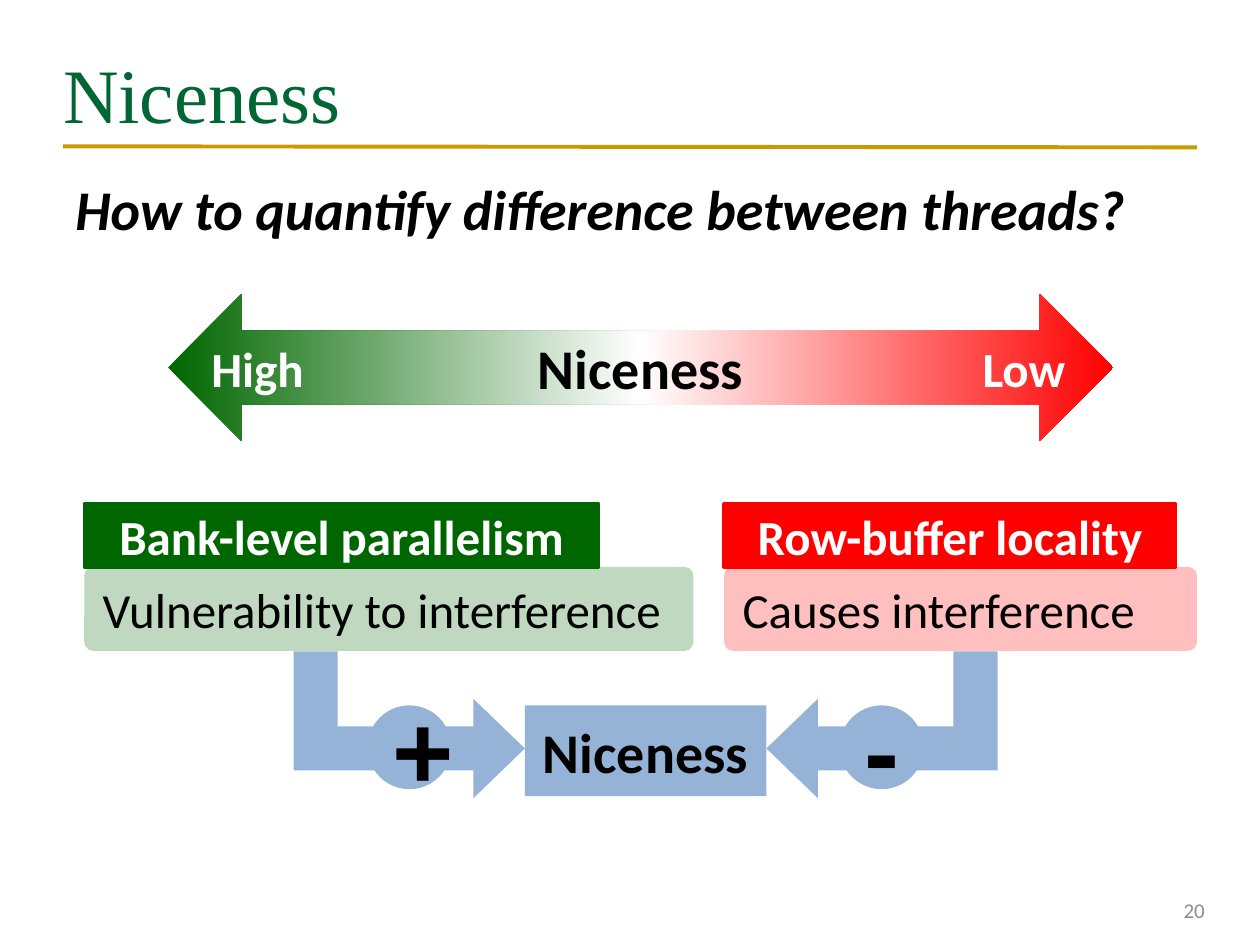
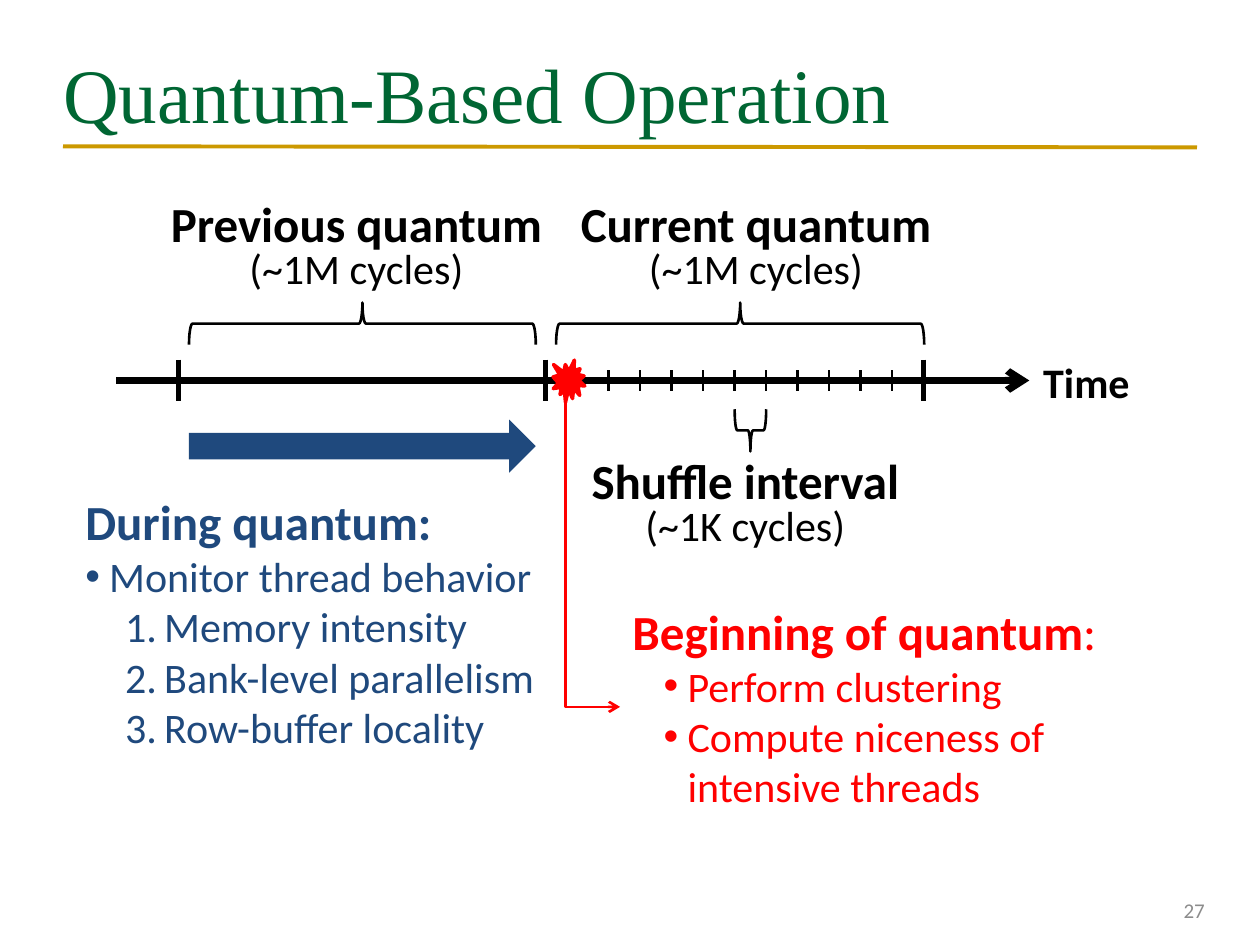
from copy import deepcopy

from lxml import etree
from pptx import Presentation
from pptx.dml.color import RGBColor
from pptx.enum.shapes import MSO_CONNECTOR, MSO_SHAPE
from pptx.enum.text import MSO_ANCHOR, MSO_AUTO_SIZE, PP_ALIGN
from pptx.oxml.ns import qn
from pptx.util import Cm, Pt

LEFT, MID, RIGHT = PP_ALIGN.LEFT, PP_ALIGN.CENTER, PP_ALIGN.RIGHT
TOP, CENTER = MSO_ANCHOR.TOP, MSO_ANCHOR.MIDDLE
LINE, ELBOW = MSO_CONNECTOR.STRAIGHT, MSO_CONNECTOR.ELBOW
RECT, ROUND, OVAL = MSO_SHAPE.RECTANGLE, MSO_SHAPE.ROUNDED_RECTANGLE, MSO_SHAPE.OVAL
BENT, BRACE, SEAL = MSO_SHAPE.BENT_UP_ARROW, MSO_SHAPE.LEFT_BRACE, MSO_SHAPE.EXPLOSION1
ARROW, DOUBLE = MSO_SHAPE.RIGHT_ARROW, MSO_SHAPE.LEFT_RIGHT_ARROW

# Shared look
GREEN, RED, WHITE, BLACK = "006600", "FF0000", "FFFFFF", "000000"
PINE, GOLD, GRAY, SKY, NAVY = "006633", "CC9900", "8C8C8C", "95B3D7", "1F497D"
SANS, SERIF, SIGN = "Calibri", "Times New Roman", "Arial"
PAD = (0.25, 0.13, 0.25, 0.13)
FLAT = (0.25, 0, 0.25, 0)

# Content of the niceness slide (lengths in cm)
ASK = "How to quantify difference between threads?"
ENDS = [("High", 3.6), ("Low", 19.05)]
CARDS = [  # left, colour, tag, tag width, note, note width
    (1.7, GREEN, "Bank-level parallelism", 10.37, "Vulnerability to interference", 12.28),
    (14.6, RED, "Row-buffer locality", 9.1, "Causes interference", 9.53),
]
SIGNS = [  # sign, sign left, arrow left, turn, flip
    ("+", 7.41, 6.77, 90, False),
    ("-", 16.93, 16.3, 270, True),
]

# Content of the quantum slide
EDGES = [3.6, 11.0, 18.62]
TICKS = 12
LABELS = [
    ("Previous quantum", "(~1M cycles)", (2.97, 4.01, 8.43, 2.03)),
    ("Current quantum", "(~1M cycles)", (11.43, 4.01, 7.62, 2.03)),
    ("Shuffle interval", "(~1K cycles)", (11.43, 9.19, 7.19, 2.03)),
]
LISTS = [  # box, colour, heading, tail, items as (mark, indent, text)
    ((1.47, 9.78, 10.16, 5.56), NAVY, "During quantum:", "", [
        ("•", 0.48, 0.48, "Monitor thread behavior"),
        ("1", 1.59, 0.79, "Memory intensity"),
        ("1", 1.59, 0.79, "Bank-level parallelism"),
        ("1", 1.59, 0.79, "Row-buffer locality")]),
    ((12.5, 11.99, 12, 4.52), RED, "Beginning of quantum", ":", [
        ("•", 1.11, 0.48, "Perform clustering"),
        ("•", 1.11, 0.48, "Compute niceness of intensive threads")]),
]


def rgb(hue):
    return RGBColor.from_string(hue)


def add(node, tag, **attrs):
    return etree.SubElement(node, qn(tag), attrs)


def place(shape, box):
    shape.left, shape.top, shape.width, shape.height = map(Cm, box)


def frame(shape, anchor=TOP, pad=PAD):
    text = shape.text_frame
    text.word_wrap = True
    text.auto_size = MSO_AUTO_SIZE.NONE
    text.vertical_anchor = anchor
    text.margin_left, text.margin_top, text.margin_right, text.margin_bottom = map(Cm, pad)
    return text


def run(para, words, size, hue, bold=False, font=SANS, slant=False):
    part = para.add_run()
    part.text = words
    face = part.font
    face.name, face.size, face.bold, face.italic = font, Pt(size), bold, slant
    face.color.rgb = rgb(hue)


def mark(para, sign, left, hang):
    """Set the indent and the bullet: a character, "1" for numbers or none."""
    props = para._p.get_or_add_pPr()
    props.set("marL", str(Cm(left)))
    props.set("indent", str(-Cm(hang)))
    if not sign:
        add(props, "a:buNone")
    elif sign == "1":
        add(props, "a:buFont", typeface="+mj-lt")
        add(props, "a:buAutoNum", type="arabicPeriod")
    else:
        add(props, "a:buFont", typeface=SIGN)
        add(props, "a:buChar", char=sign)
    para.space_before = Pt(0)


def draw(slide, kind, box, fill=None, edge=None, width=2, turn=0, flip=False, fit=()):
    shape = slide.shapes.add_shape(kind, *map(Cm, box))
    shape.shadow.inherit = False
    if fill:
        shape.fill.solid()
        shape.fill.fore_color.rgb = rgb(fill)
    else:
        shape.fill.background()
    if edge:
        shape.line.color.rgb = rgb(edge)
        shape.line.width = Pt(width)
    else:
        shape.line.fill.background()
    shape.rotation = turn
    if flip:
        shape.element.spPr.get_or_add_xfrm().set("flipH", "1")
    for i, value in enumerate(fit):
        shape.adjustments[i] = value
    return shape


def write(shape, words, size, hue, bold=True, align=MID, font=SANS, pad=PAD):
    para = frame(shape, CENTER, pad).paragraphs[0]
    para.alignment = align
    run(para, words, size, hue, bold, font)
    return para


def label(slide, box, *args, **kwargs):
    return write(slide.shapes.add_textbox(*map(Cm, box)), *args, **kwargs)


def join(slide, x1, y1, x2, y2, hue, width, tip=False, kind=LINE):
    line = slide.shapes.add_connector(kind, Cm(x1), Cm(y1), Cm(x2), Cm(y2))
    line.line.color.rgb = rgb(hue)
    line.line.width = Pt(width)
    props = line.element.spPr
    if tip:
        add(props.find(qn("a:ln")), "a:tailEnd", type="arrow")
    add(props, "a:effectLst")
    return line


def start(deck, layout, name, number):
    """New slide with title, gold rule and page number."""
    slide = deck.slides.add_slide(deck.slide_layouts[layout])
    title = slide.shapes.title
    place(title, (1.27, 0.76, 22.86, 2.21))
    write(title, name, 44, PINE, False, LEFT, SERIF, (0, 0.13, 0, 0.13))
    join(slide, 1.27, 2.95, 24.13, 2.97, GOLD, 2.25)
    label(slide, (18.62, 17.83, 5.92, 1.02), number, 12, GRAY, False, RIGHT)
    return slide


def blend(shape, hues):
    """Even left-to-right gradient through three colours."""
    shape.fill.gradient()
    shape.fill.gradient_angle = 0
    stops = shape.element.spPr.find(qn("a:gradFill")).find(qn("a:gsLst"))
    stops.append(deepcopy(stops[0]))
    for i, stop in enumerate(shape.fill.gradient_stops):
        stop.color.rgb = rgb(hues[i])
        stop.position = i / (len(hues) - 1)


def brace(slide, x1, x2, top, turn):
    deep, span = 0.85, x2 - x1
    box = ((x1 + x2 - deep) / 2, top + (deep - span) / 2, deep, span)
    draw(slide, BRACE, box, edge=BLACK, width=1.5, turn=turn)


def bend(slide, x1, y1, x2, y2):
    """Arrow that runs down and then right, as a turned one-bend connector."""
    cx, cy = (x1 + x2) / 2, (y1 + y2) / 2
    w, h = y2 - y1, x2 - x1
    line = join(slide, cx - w / 2, cy - h / 2, cx + w / 2, cy + h / 2, RED, 1.5, True, ELBOW)
    props = line.element.spPr
    props.find(qn("a:prstGeom")).set("prst", "bentConnector2")
    form = props.find(qn("a:xfrm"))
    form.set("rot", str(270 * 60000))
    form.set("flipH", "1")


def nice(deck):
    slide = start(deck, 1, "Niceness", "20")
    body = slide.placeholders[1]
    place(body, (1.27, 3.38, 23.7, 1.9))
    para = frame(body).paragraphs[0]
    mark(para, None, 0.95, 0.95)
    run(para, ASK, 32, BLACK, True, slant=True)

    # Cards
    for left, hue, tag, wide, note, room in CARDS:
        card = draw(slide, ROUND, (left, 11.43, room, 1.69), hue, fit=[0.104])
        tint = card.element.spPr.find(qn("a:solidFill"))[0]
        add(tint, "a:alpha", val="25000")
        para = write(card, note, 28, BLACK, False, LEFT, pad=(0, 0.13, 0, 0.13))
        mark(para, None, 0.32, 0)
        head = draw(slide, RECT, (left, 10.16, wide, 1.27), hue, hue)
        write(head, tag, 28, WHITE, pad=FLAT)

    # Arrows into the result
    for sign, x, left, turn, flip in SIGNS:
        draw(slide, BENT, (left, 12.28, 2.96, 4.66), SKY, turn=turn, flip=flip,
             fit=[0.3, 0.338, 0.35])
        disc = draw(slide, OVAL, (x, 14.22, 1.69, 1.69), SKY, flip=True)
        write(disc, sign, 60, BLACK, font=SIGN)
    write(draw(slide, RECT, (10.58, 14.22, 4.87, 1.83), SKY), "Niceness", 32, BLACK)

    # Scale
    scale = draw(slide, DOUBLE, (3.39, 5.93, 19.05, 2.96))
    blend(scale, [GREEN, WHITE, RED])
    write(scale, "Niceness", 32, BLACK)
    for words, x in ENDS:
        label(slide, (x, 6.88, 3.18, 1.07), words, 28, WHITE, pad=FLAT)


def quantum(deck):
    slide = start(deck, 3, "Quantum-Based Operation", "27")

    # Time line
    axis = 7.67
    join(slide, 2.34, axis, 20.75, axis, BLACK, 4, True)
    label(slide, (20.78, 7.06, 2.29, 1.27), "Time", 24, BLACK, align=LEFT)
    for x in EDGES:
        join(slide, x, axis - 0.42, x, axis + 0.42, BLACK, 3)
    first, last = EDGES[1:]
    step = (last - first) / TICKS
    for i in range(2, TICKS):
        x = first + i * step
        join(slide, x, axis - 0.21, x, axis + 0.21, BLACK, 1.5)

    # Braces and their labels
    brace(slide, 3.81, 10.8, 6.1, 90)
    brace(slide, 11.21, 18.63, 6.1, 90)
    brace(slide, first + 6 * step, first + 7 * step, 8.25, 270)
    for name, count, box in LABELS:
        text = frame(slide.shapes.add_textbox(*map(Cm, box)))
        rows = [(name, 28, True), (count, 24, False)]
        for i, (words, size, bold) in enumerate(rows):
            para = text.add_paragraph() if i else text.paragraphs[0]
            para.alignment = MID
            para.line_spacing = 0.8
            run(para, words, size, BLACK, bold)

    # Events
    draw(slide, ARROW, (3.81, 8.46, 6.99, 1.07), NAVY)
    draw(slide, SEAL, (11.15, 7.26, 0.64, 0.85), RED, RED)
    bend(slide, 11.4, 8.1, 12.5, 14.25)

    # Lists
    for i, (box, hue, head, tail, items) in enumerate(LISTS, 1):
        body = slide.placeholders[i]
        place(body, box)
        text = frame(body)
        para = text.paragraphs[0]
        mark(para, None, 0, 0)
        run(para, head, 28, hue, True)
        if tail:
            run(para, tail, 28, hue)
        for sign, left, hang, words in items:
            para = text.add_paragraph()
            mark(para, sign, left, hang)
            run(para, words, 24, hue)


def main():
    deck = Presentation()
    deck.slide_width, deck.slide_height = Cm(25.4), Cm(19.05)
    nice(deck)
    quantum(deck)
    deck.save("out.pptx")


if __name__ == "__main__":
    main()
